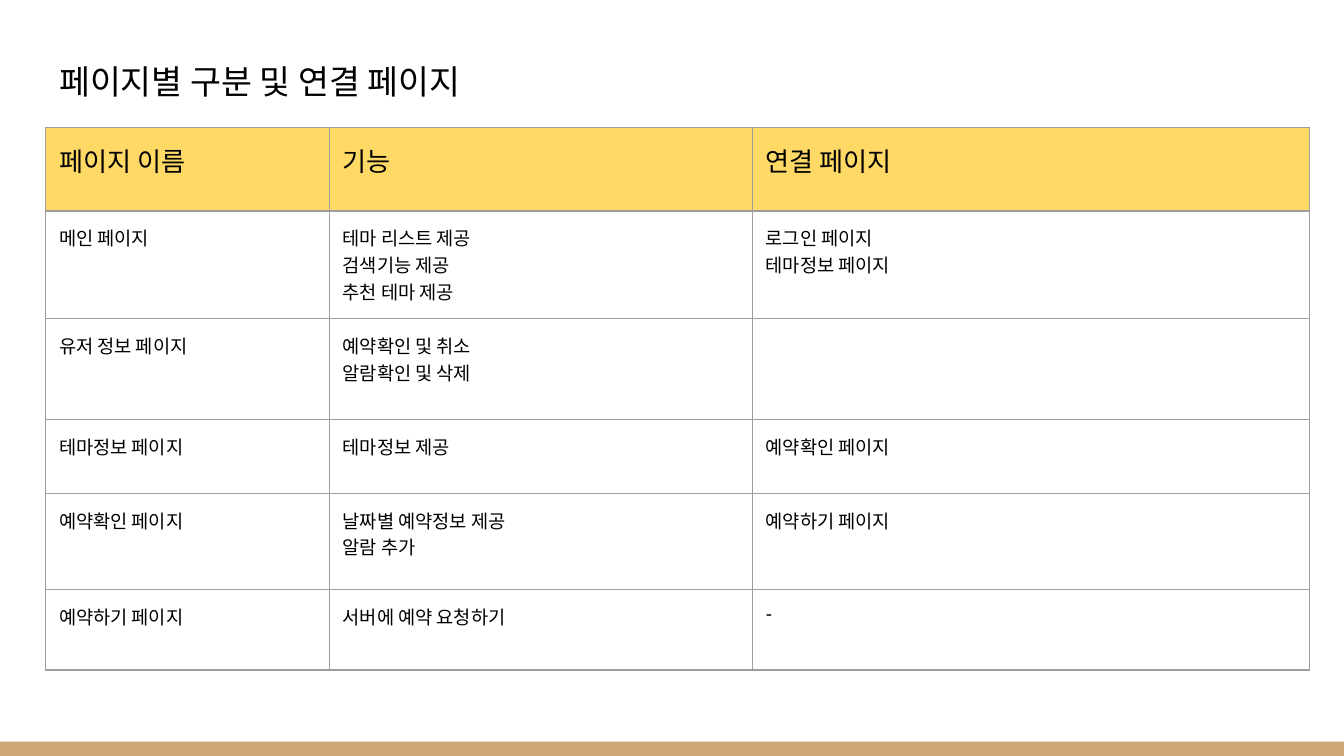
from lxml import etree
from pptx import Presentation
from pptx.dml.color import RGBColor
from pptx.enum import shapes, text
from pptx.oxml import ns
from pptx.util import Pt

TITLE = "페이지별 구분 및 연결 페이지"
HEADER = ("페이지 이름", "기능", "연결 페이지")
PAGES = [
    ("메인 페이지", ("테마 리스트 제공", "검색기능 제공", "추천 테마 제공"),
     ("로그인 페이지", "테마정보 페이지")),
    ("유저 정보 페이지", ("예약확인 및 취소", "알람확인 및 삭제"), ()),
    ("테마정보 페이지", ("테마정보 제공",), ("예약확인 페이지",)),
    ("예약확인 페이지", ("날짜별 예약정보 제공", "알람 추가"), ("예약하기 페이지",)),
    ("예약하기 페이지", ("서버에 예약 요청하기",), ("-",)),
]
COLUMN_WIDTHS = (152, 226.6, 298.6)
ROW_HEIGHTS = (44.8, 54, 54, 39.6, 51.8, 43)

SLIDE_WIDTH, SLIDE_HEIGHT = 720, 405
LEFT, TABLE_TOP = 24.5, 68.2
INSET = 7.2
BAR_HEIGHT = 7.7
BLACK, YELLOW, GRAY, TAN = "000000", "FFD966", "9E9E9E", "CCA677"


def color(value):
    return RGBColor.from_string(value)


def add_run(paragraph, words, size, font):
    run = paragraph.add_run()
    run.text = words
    run.font.size = Pt(size)
    run.font.name = font
    run.font.color.rgb = color(BLACK)


def set_insets(box):
    box.margin_left = box.margin_right = Pt(INSET)
    box.margin_top = box.margin_bottom = Pt(INSET)


def set_borders(cell):
    """Draw all four edges; they must precede the fill in the cell's XML."""
    properties = cell._tc.get_or_add_tcPr()
    for position, edge in enumerate(("a:lnL", "a:lnR", "a:lnT", "a:lnB")):
        line = etree.Element(ns.qn(edge), w=str(Pt(0.75)))
        fill = etree.SubElement(line, ns.qn("a:solidFill"))
        etree.SubElement(fill, ns.qn("a:srgbClr"), val=GRAY)
        properties.insert(position, line)


def fill_cell(cell, lines, size, background=None):
    set_insets(cell)
    cell.vertical_anchor = text.MSO_ANCHOR.TOP
    if background:
        cell.fill.solid()
        cell.fill.fore_color.rgb = color(background)
    else:
        cell.fill.background()
    set_borders(cell)
    frame = cell.text_frame
    for index, line in enumerate(lines):
        paragraph = frame.add_paragraph() if index else frame.paragraphs[0]
        add_run(paragraph, line, size, "Arial")


def add_bar(slide):
    bar = slide.shapes.add_shape(
        shapes.MSO_SHAPE.RECTANGLE, 0, Pt(SLIDE_HEIGHT - BAR_HEIGHT),
        Pt(SLIDE_WIDTH), Pt(BAR_HEIGHT))
    bar.shadow.inherit = False
    bar.fill.solid()
    bar.fill.fore_color.rgb = color(TAN)
    bar.line.fill.background()


def add_title(slide):
    title = slide.shapes.title
    title.left, title.top = Pt(LEFT), Pt(24.5)
    title.width, title.height = Pt(SLIDE_WIDTH - 2 * LEFT), Pt(36.7)
    frame = title.text_frame
    set_insets(frame)
    frame.word_wrap = True
    frame.auto_size = text.MSO_AUTO_SIZE.NONE
    frame.vertical_anchor = text.MSO_ANCHOR.BOTTOM
    paragraph = frame.paragraphs[0]
    paragraph.alignment = text.PP_ALIGN.LEFT
    add_run(paragraph, TITLE, 18, "Roboto")


def add_page_table(slide):
    table = slide.shapes.add_table(
        len(ROW_HEIGHTS), len(COLUMN_WIDTHS), Pt(LEFT), Pt(TABLE_TOP),
        Pt(sum(COLUMN_WIDTHS)), Pt(sum(ROW_HEIGHTS))).table
    table.horz_banding = False
    table.first_row = False
    for column, width in zip(table.columns, COLUMN_WIDTHS):
        column.width = Pt(width)
    for row, height in zip(table.rows, ROW_HEIGHTS):
        row.height = Pt(height)
    for cell, label in zip(table.rows[0].cells, HEADER):
        fill_cell(cell, [label], 14, YELLOW)
    for row_index, (name, features, links) in enumerate(PAGES, start=1):
        for column_index, lines in enumerate(((name,), features, links)):
            fill_cell(table.cell(row_index, column_index), lines, 10)


def main():
    presentation = Presentation()
    presentation.slide_width = Pt(SLIDE_WIDTH)
    presentation.slide_height = Pt(SLIDE_HEIGHT)
    slide = presentation.slides.add_slide(presentation.slide_layouts[5])
    add_bar(slide)
    add_title(slide)
    add_page_table(slide)
    presentation.save("out.pptx")


if __name__ == "__main__":
    main()
